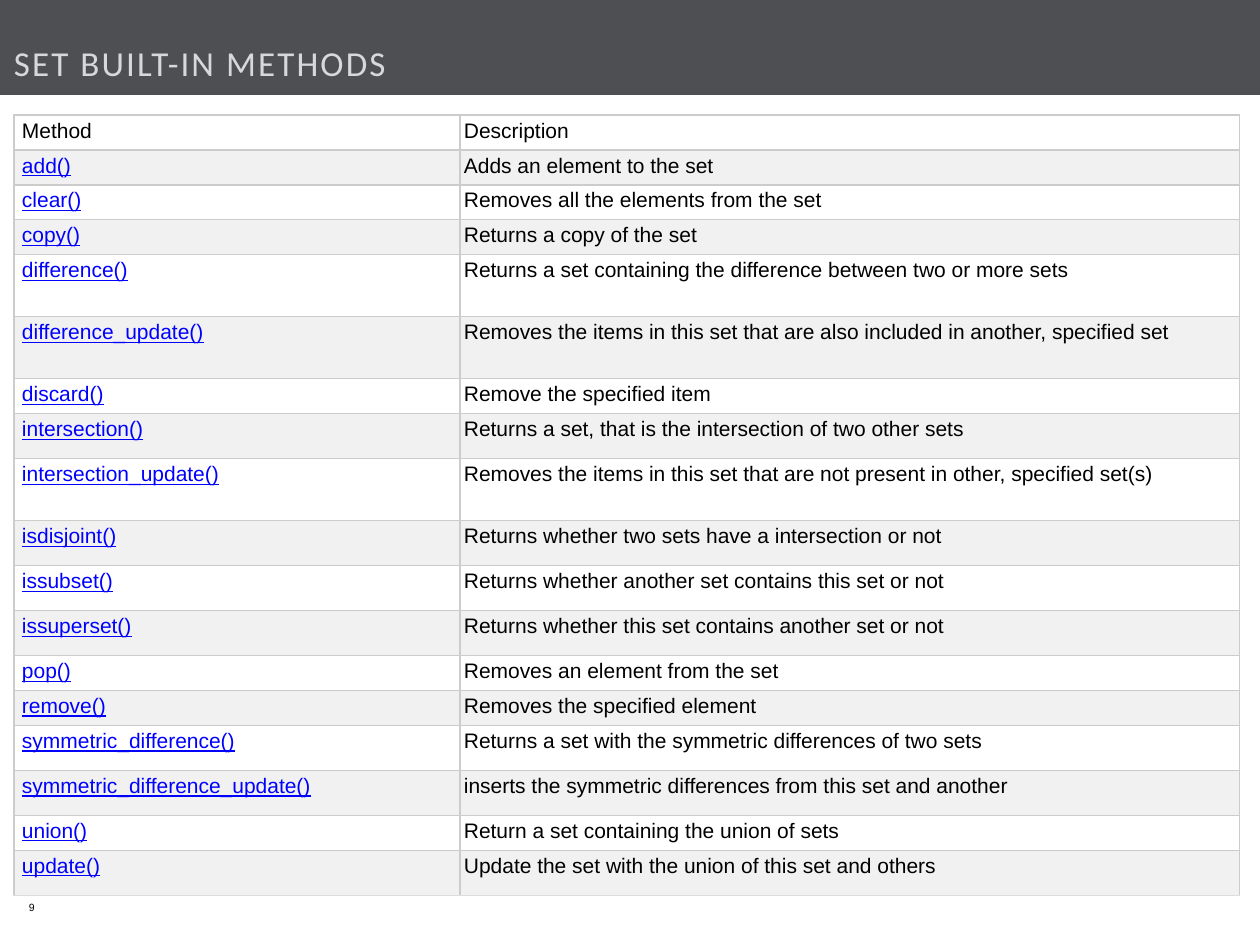
from lxml import etree
from pptx import Presentation
from pptx.dml.color import RGBColor
from pptx.enum.shapes import MSO_SHAPE
from pptx.enum.text import MSO_ANCHOR
from pptx.oxml.ns import qn
from pptx.util import Pt

RECT = MSO_SHAPE.RECTANGLE
TOP, MIDDLE, BOTTOM = MSO_ANCHOR.TOP, MSO_ANCHOR.MIDDLE, MSO_ANCHOR.BOTTOM
EMU_PER_PX = 914400 / 126
SHORT, MEDIUM, TALL = 35, 45, 62

METHODS = [
    ("Method", "Description", SHORT),
    ("add()", "Adds an element to the set", SHORT),
    ("clear()", "Removes all the elements from the set", SHORT),
    ("copy()", "Returns a copy of the set", SHORT),
    ("difference()", "Returns a set containing the difference between two or more sets", TALL),
    ("difference_update()",
     "Removes the items in this set that are also included in another, specified set", TALL),
    ("discard()", "Remove the specified item", SHORT),
    ("intersection()", "Returns a set, that is the intersection of two other sets", MEDIUM),
    ("intersection_update()",
     "Removes the items in this set that are not present in other, specified set(s)", TALL),
    ("isdisjoint()", "Returns whether two sets have a intersection or not", MEDIUM),
    ("issubset()", "Returns whether another set contains this set or not", MEDIUM),
    ("issuperset()", "Returns whether this set contains another set or not", MEDIUM),
    ("pop()", "Removes an element from the set", SHORT),
    ("remove()", "Removes the specified element", SHORT),
    ("symmetric_difference()", "Returns a set with the symmetric differences of two sets", MEDIUM),
    ("symmetric_difference_update()",
     "inserts the symmetric differences from this set and another", MEDIUM),
    ("union()", "Return a set containing the union of sets", SHORT),
    ("update()", "Update the set with the union of this set and others", MEDIUM),
]


def px(n):
    return round(n * EMU_PER_PX)


def rgb(color):
    return RGBColor.from_string(color)


def write(tf, text, size=12, font="Arial", color="000000", underline=False, spacing=0):
    r = tf.paragraphs[0].add_run()
    r.text = text
    r.font.size = Pt(size)
    r.font.name = font
    r.font.color.rgb = rgb(color)
    r.font.underline = underline
    if spacing:
        r._r.get_or_add_rPr().set("spc", str(round(spacing * 100)))


def set_margins(box, left, top, right, bottom):
    box.margin_left, box.margin_top = px(left), px(top)
    box.margin_right, box.margin_bottom = px(right), px(bottom)


def set_borders(cell, bottom):
    tcPr = cell._tc.get_or_add_tcPr()
    for side in "LRTB":
        ln = etree.SubElement(tcPr, qn(f"a:ln{side}"), w=str(Pt(0.75)))
        fill = etree.SubElement(ln, qn("a:solidFill"))
        color = bottom if side == "B" else "CCCCCC"
        etree.SubElement(fill, qn("a:srgbClr"), val=color)


class Deck:
    stripes = ("FFFFFF", "F1F1F1")
    link = "0000FF"

    def __init__(self, width, height):
        self.prs = Presentation()
        self.prs.slide_width, self.prs.slide_height = px(width), px(height)
        self.s = self.prs.slides.add_slide(self.prs.slide_layouts[6])

    def band(self, x, y, w, h, color):
        sp = self.s.shapes.add_shape(RECT, px(x), px(y), px(w), px(h))
        sp.shadow.inherit = False
        sp.fill.solid()
        sp.fill.fore_color.rgb = rgb(color)
        sp.line.fill.background()

    def text(self, x, y, w, h, text, anchor=TOP, margins=(0, 0, 0, 0), **style):
        tf = self.s.shapes.add_textbox(px(x), px(y), px(w), px(h)).text_frame
        tf.word_wrap = True
        tf.vertical_anchor = anchor
        set_margins(tf, *margins)
        write(tf, text, **style)

    def table(self, x, y, widths, rows):
        heights = [row[-1] for row in rows]
        frame = self.s.shapes.add_table(len(rows), len(widths), px(x), px(y),
                                        px(sum(widths)), px(sum(heights)))
        table = frame.table
        for column, width in zip(table.columns, widths):
            column.width = px(width)
        for i, (*texts, height) in enumerate(rows):
            table.rows[i].height = px(height)
            for j, text in enumerate(texts):
                is_link = i > 0 and j == 0
                cell = table.cell(i, j)
                set_margins(cell, 4 if j else 8, 4, 4, 4)
                set_borders(cell, "DDDDDD" if i == len(rows) - 1 else "CCCCCC")
                cell.fill.solid()
                cell.fill.fore_color.rgb = rgb(self.stripes[i % 2])
                write(cell.text_frame, text, underline=is_link,
                      color=self.link if is_link else "000000")


def main():
    deck = Deck(1260, 945)
    deck.band(0, 869, 1260, 76, "FFFFFF")
    deck.band(0, 0, 1260, 95, "4D4F53")
    deck.text(14, 882, 83, 50, "9", anchor=MIDDLE, margins=(15, 8, 15, 8), size=6)
    deck.text(14, 21, 1077, 63, "SET BUILT-IN METHODS", anchor=BOTTOM,
              size=20, font="Calibri", color="D7D8D9", spacing=1.2)
    deck.table(14, 115, (446, 780), METHODS)
    deck.prs.save("out.pptx")


if __name__ == "__main__":
    main()
